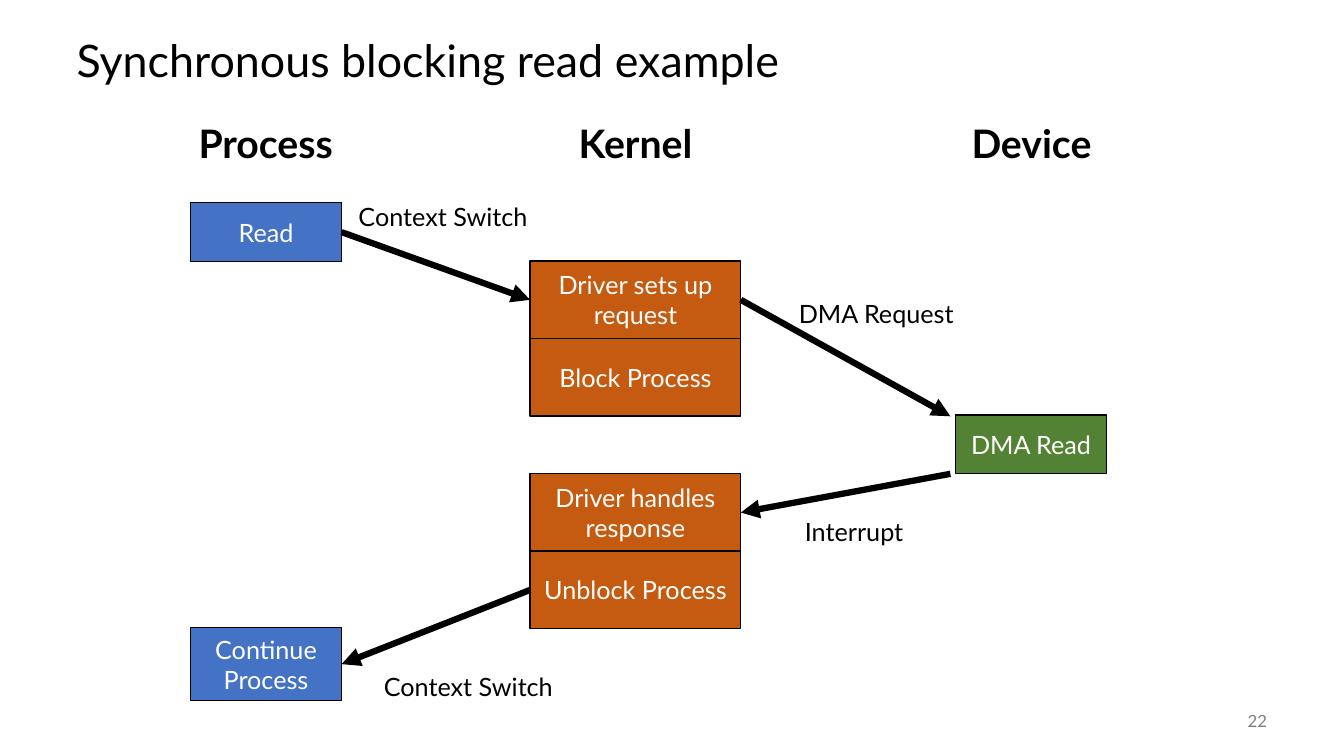
from lxml import etree
from pptx import Presentation
from pptx.dml.color import RGBColor
from pptx.enum.shapes import MSO_CONNECTOR, MSO_SHAPE
from pptx.enum.text import MSO_ANCHOR, PP_ALIGN
from pptx.oxml.ns import qn
from pptx.util import Cm, Pt


def color(hex_string):
    return RGBColor.from_string(hex_string)


def write(shape, text, size, text_color, **settings):
    frame = shape.text_frame
    frame.word_wrap = True
    frame.vertical_anchor = settings.get("anchor", MSO_ANCHOR.MIDDLE)
    paragraph = frame.paragraphs[0]
    paragraph.text = text
    paragraph.alignment = settings.get("align", PP_ALIGN.CENTER)
    paragraph.line_spacing = settings.get("spacing", 1.0)
    font_values = {"name": "Lato", "size": Pt(size), "bold": settings.get("bold", False)}
    for name, value in font_values.items():
        setattr(paragraph.font, name, value)
    paragraph.font.color.rgb = color(text_color)


BLACK, WHITE = "000000", "FFFFFF"
BLUE, ORANGE, GREEN = "4472C4", "C55A11", "548235"

presentation = Presentation()
presentation.slide_width = Cm(33.87)
presentation.slide_height = Cm(19.05)
slide = presentation.slides.add_slide(presentation.slide_layouts[6])
shapes = slide.shapes

title = shapes.add_textbox(Cm(1.68), Cm(0.64), Cm(30.48), Cm(1.9))
write(title, "Synchronous blocking read example", 32, BLACK, align=PP_ALIGN.LEFT, spacing=0.9)

slide_number = shapes.add_textbox(Cm(29.64), Cm(17.65), Cm(2.54), Cm(1.02))
write(slide_number, "22", 12, "808080", align=PP_ALIGN.RIGHT)

columns = {
    "Process": (4.8, 3.81, BLUE),
    "Kernel": (13.36, 5.31, ORANGE),
    "Device": (24.08, 3.81, GREEN),
}
steps = [
    ("Process", "Read", 5.11, 1.48),
    ("Process", "Continue Process", 15.82, 1.83),
    ("Kernel", "Driver sets up request", 6.58, 1.95),
    ("Kernel", "Block Process", 8.53, 1.95),
    ("Kernel", "Driver handles response", 11.94, 1.95),
    ("Kernel", "Unblock Process", 13.89, 1.95),
    ("Device", "DMA Read", 10.46, 1.48),
]
boxes = {}
for column, text, top, height in steps:
    left, width, fill = columns[column]
    box = shapes.add_shape(MSO_SHAPE.RECTANGLE, Cm(left), Cm(top), Cm(width), Cm(height))
    box.shadow.inherit = False
    box.fill.solid()
    box.fill.fore_color.rgb = color(fill)
    box.line.color.rgb = color(BLACK)
    box.line.width = Pt(1)
    write(box, text, 18, WHITE)
    boxes[text] = box

LEFT_SIDE, RIGHT_SIDE = 1, 3
arrows = [
    (("Driver sets up request", RIGHT_SIDE), (23.95, 10.49)),
    ((23.95, 11.94), ("Driver handles response", RIGHT_SIDE)),
    (("Read", RIGHT_SIDE), ("Driver sets up request", LEFT_SIDE)),
    (("Unblock Process", LEFT_SIDE), ("Continue Process", RIGHT_SIDE)),
]
for start, end in arrows:
    arrow = shapes.add_connector(MSO_CONNECTOR.STRAIGHT, 0, 0, 0, 0)
    if start[0] in boxes:
        arrow.begin_connect(boxes[start[0]], start[1])
    else:
        arrow.begin_x, arrow.begin_y = Cm(start[0]), Cm(start[1])
    if end[0] in boxes:
        arrow.end_connect(boxes[end[0]], end[1])
    else:
        arrow.end_x, arrow.end_y = Cm(end[0]), Cm(end[1])
    arrow.line.color.rgb = color(BLACK)
    arrow.line.width = Pt(4.5)
    etree.SubElement(arrow.line._get_or_add_ln(), qn("a:tailEnd"), type="triangle")
    etree.SubElement(arrow._element.spPr, qn("a:effectLst"))

for text, left in [("Process", 4.14), ("Kernel", 13.46), ("Device", 23.44)]:
    heading = shapes.add_textbox(Cm(left), Cm(2.87), Cm(5.11), Cm(1.45))
    write(heading, text, 28, BLACK, bold=True, anchor=MSO_ANCHOR.TOP)

labels = [
    ("Context Switch", 9.25, 16.79),
    ("Context Switch", 8.61, 4.95),
    ("DMA Request", 19.53, 7.39),
    ("Interrupt", 18.97, 12.88),
]
for text, left, top in labels:
    label = shapes.add_textbox(Cm(left), Cm(top), Cm(5.11), Cm(1.02))
    write(label, text, 18, BLACK, anchor=MSO_ANCHOR.TOP)

presentation.save("out.pptx")
